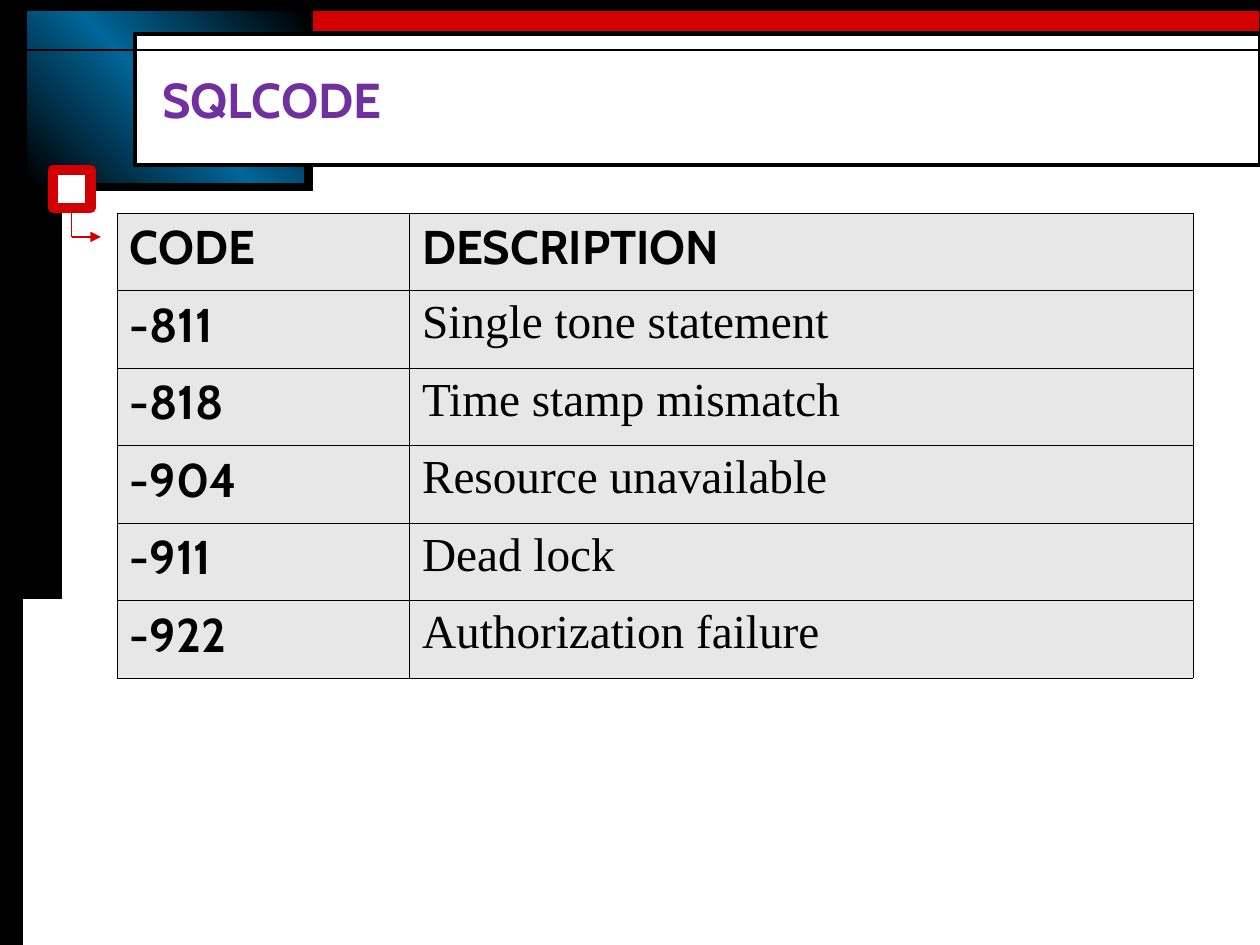
from copy import deepcopy

from lxml import etree
from pptx import Presentation
from pptx.dml.color import RGBColor
from pptx.enum.shapes import MSO_CONNECTOR, MSO_SHAPE
from pptx.enum.text import MSO_ANCHOR
from pptx.oxml.ns import qn
from pptx.util import Pt

RECTANGLE = MSO_SHAPE.RECTANGLE
STRAIGHT = MSO_CONNECTOR.STRAIGHT
MIDDLE = MSO_ANCHOR.MIDDLE

THEME = {
    "black": "000000",
    "white": "FFFFFF",
    "red": "D20000",
    "blue": "006699",
    "purple": "7030A0",
    "gray": "E7E7E7",
    "heading_font": "Cabin",
    "body_font": "Times New Roman",
    "title_size": 28,
    "table_size": 27,
}

TITLE = "SQLCODE"
TITLE_BOX = (85.68, 30.96, 622.8, 55.44)
ROWS = [
    ("CODE", "DESCRIPTION"),
    ("-811", "Single tone statement"),
    ("-818", "Time stamp mismatch"),
    ("-904", "Resource unavailable"),
    ("-911", "Dead lock"),
    ("-922", "Authorization failure"),
]
TABLE_LEFT, TABLE_TOP = 66.96, 121.68
COLUMN_WIDTHS = (167.04, 447.84)
ROW_HEIGHT = 44.28
THIN_BORDER, THICK_BORDER = 0.45, 0.96
THICK_RULE = 5

BACK_PANELS = [
    ((178.56, 0, 541.44, 18), "red", "black", 0.75),
    ((0, 0, 720, 5.76), "black", "black", 0.75),
    ((0, 0, 178.56, 108.72), "black", "black", 0.75),
    ((0, 51.84, 35.28, 290.16), "black", "black", 0.75),
    ((0, 249.84, 12.96, 290.16), "black", "black", 0.75),
]
GRADIENT_BOX = (15.84, 6.48, 157.68, 97.92)
GRADIENT_STOPS = [(0, "black"), (0.5, "blue"), (1, "black")]
FRONT_PANELS = [
    ((77.04, 19.44, 642.96, 74.88), "white", "black", 2.25),
    ((30.24, 97.2, 21.6, 21.6), "white", "red", 6),
]
ARROW_POINTS = [(41.04, 120.24), (41.04, 135.36), (57.6, 135.36)]
TOP_OUTLINE = ((0, 0, 720, 28.8), None, "black", 1.25)


def color(name):
    return RGBColor.from_string(THEME[name])


def points(values):
    return [Pt(value) for value in values]


def add_panel(slide, box, fill, line, width):
    shape = slide.shapes.add_shape(RECTANGLE, *points(box))
    shape.shadow.inherit = False
    if fill:
        shape.fill.solid()
        shape.fill.fore_color.rgb = color(fill)
    else:
        shape.fill.background()
    if line:
        shape.line.color.rgb = color(line)
        shape.line.width = Pt(width)
    else:
        shape.line.fill.background()
    return shape


def add_gradient_panel(slide):
    shape = add_panel(slide, GRADIENT_BOX, None, None, 0)
    shape.fill.gradient()
    shape.fill.gradient_angle = 45
    stop_list = shape._element.spPr.find(".//" + qn("a:gsLst"))
    stop_list.append(deepcopy(stop_list[0]))
    for stop, (position, name) in zip(shape.fill.gradient_stops, GRADIENT_STOPS):
        stop.position = position
        stop.color.rgb = color(name)


def add_arrow(slide):
    for start, end in zip(ARROW_POINTS, ARROW_POINTS[1:]):
        connector = slide.shapes.add_connector(STRAIGHT, *points(start + end))
        connector.line.color.rgb = color("red")
        connector.line.width = Pt(0.75)
        etree.SubElement(connector._element.spPr, qn("a:effectLst"))
    line = connector.line._get_or_add_ln()
    etree.SubElement(line, qn("a:tailEnd"), type="triangle")


def add_run(paragraph, text, font_name, size, bold, color_name):
    run = paragraph.add_run()
    run.text = text
    run.font.name = THEME[font_name]
    run.font.size = Pt(THEME[size])
    run.font.bold = bold
    run.font.color.rgb = color(color_name)


def add_title(slide):
    frame = slide.shapes.add_textbox(*points(TITLE_BOX)).text_frame
    frame.word_wrap = True
    frame.vertical_anchor = MIDDLE
    paragraph = frame.paragraphs[0]
    paragraph.line_spacing = 0.9
    add_run(paragraph, TITLE, "heading_font", "title_size", True, "purple")


def set_borders(cell, top, bottom):
    properties = cell._tc.get_or_add_tcPr()
    widths = {"lnL": THIN_BORDER, "lnR": THIN_BORDER, "lnT": top, "lnB": bottom}
    for tag, width in widths.items():
        border = etree.SubElement(properties, qn("a:" + tag), w=str(Pt(width)))
        fill = etree.SubElement(border, qn("a:solidFill"))
        etree.SubElement(fill, qn("a:srgbClr"), val=THEME["black"])


def add_code_table(slide):
    box = (TABLE_LEFT, TABLE_TOP, sum(COLUMN_WIDTHS), ROW_HEIGHT * len(ROWS))
    table = slide.shapes.add_table(len(ROWS), len(COLUMN_WIDTHS), *points(box)).table
    table.first_row = False
    table.horz_banding = False
    for column, width in zip(table.columns, COLUMN_WIDTHS):
        column.width = Pt(width)
    rules = [THICK_BORDER if index == THICK_RULE else THIN_BORDER
             for index in range(len(ROWS) + 1)]
    for row_index, values in enumerate(ROWS):
        table.rows[row_index].height = Pt(ROW_HEIGHT)
        for column_index, text in enumerate(values):
            cell = table.cell(row_index, column_index)
            set_borders(cell, rules[row_index], rules[row_index + 1])
            cell.fill.solid()
            cell.fill.fore_color.rgb = color("gray")
            heading = row_index == 0 or column_index == 0
            font_name = "heading_font" if heading else "body_font"
            add_run(cell.text_frame.paragraphs[0], text, font_name,
                    "table_size", heading, "black")


def main():
    presentation = Presentation()
    presentation.slide_width = Pt(720)
    presentation.slide_height = Pt(540)
    slide = presentation.slides.add_slide(presentation.slide_layouts[6])
    for panel in BACK_PANELS:
        add_panel(slide, *panel)
    add_gradient_panel(slide)
    for panel in FRONT_PANELS:
        add_panel(slide, *panel)
    add_arrow(slide)
    add_panel(slide, *TOP_OUTLINE)
    add_title(slide)
    add_code_table(slide)
    presentation.save("out.pptx")


if __name__ == "__main__":
    main()
